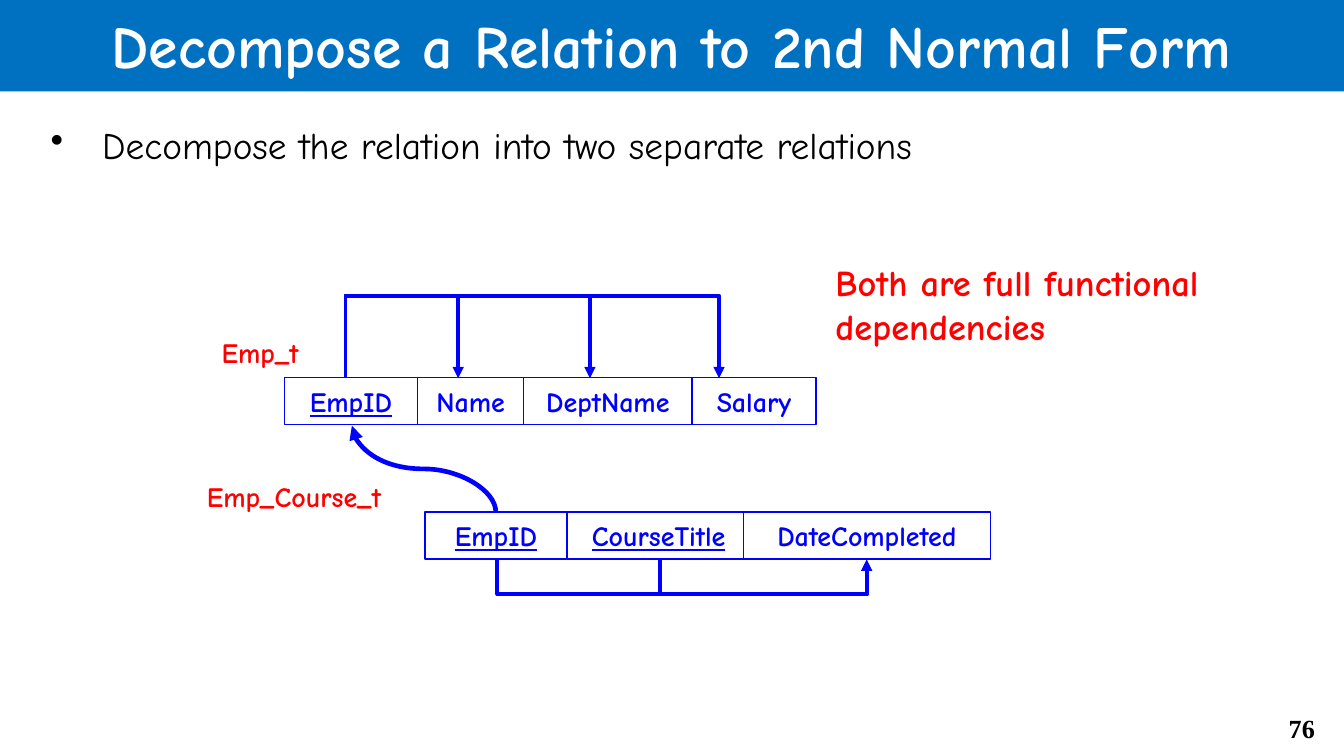
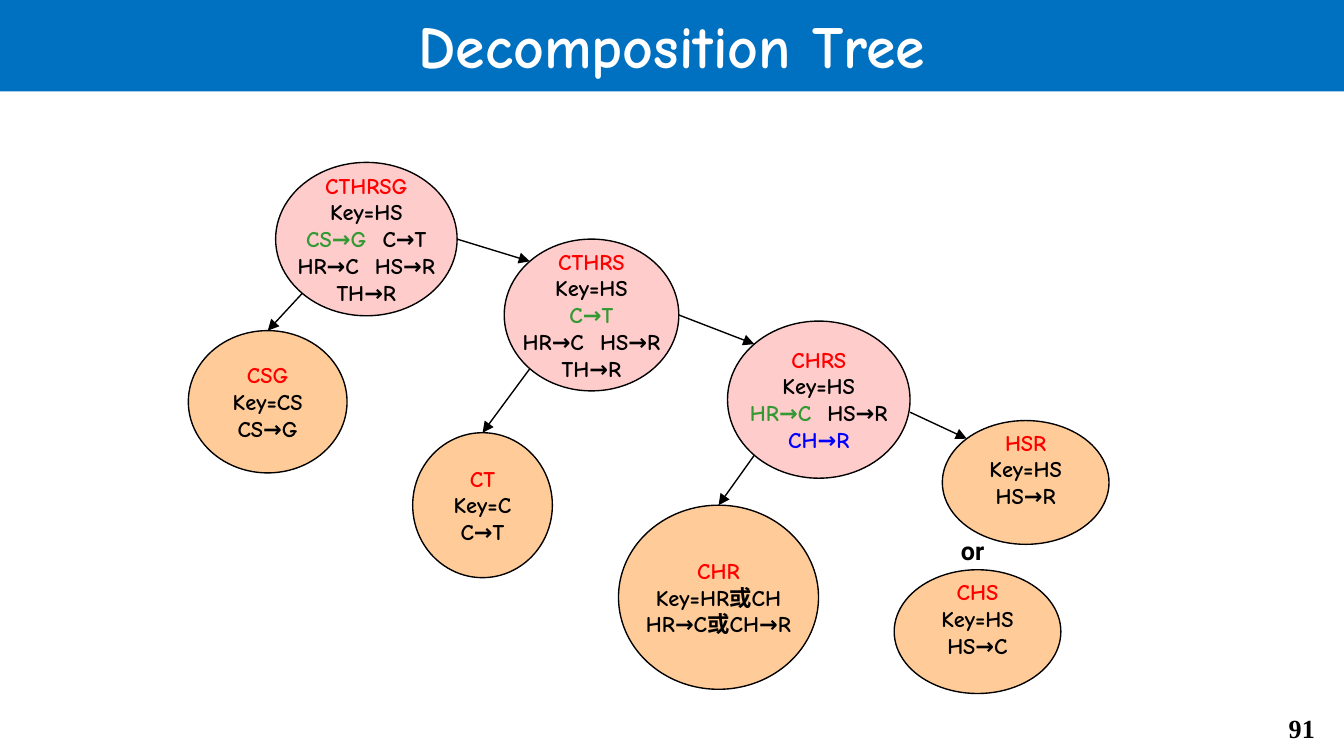
from math import sqrt

from lxml import etree
from pptx import Presentation
from pptx.dml.color import RGBColor
from pptx.enum.shapes import MSO_CONNECTOR, MSO_SHAPE
from pptx.enum.text import MSO_ANCHOR, PP_ALIGN
from pptx.oxml.ns import qn
from pptx.util import Cm, Pt

LEFT, CENTER, RIGHT = PP_ALIGN.LEFT, PP_ALIGN.CENTER, PP_ALIGN.RIGHT
TOP, MIDDLE = MSO_ANCHOR.TOP, MSO_ANCHOR.MIDDLE
RECT, OVAL = MSO_SHAPE.RECTANGLE, MSO_SHAPE.OVAL
STRAIGHT, ELBOW, CURVE = MSO_CONNECTOR.STRAIGHT, MSO_CONNECTOR.ELBOW, MSO_CONNECTOR.CURVE

COLORS = {
    "band": "0070C0", "white": "FFFFFF", "black": "000000", "red": "FF0000",
    "blue": "0000FF", "green": "339933", "pink": "FFCCCC", "orange": "FFCC99",
}
FONT = "Comic Neue"
SLIDE_W, SLIDE_H = 25.4, 14.29
CORNER = (1 - sqrt(0.5)) / 2


def rgb(name):
    return RGBColor.from_string(COLORS[name])


def style(p, size, color, align=LEFT, font=FONT, bold=True, underline=None):
    p.alignment = align
    f = p.font
    f.name, f.size, f.bold, f.underline = font, Pt(size), bold, underline
    if color:
        f.color.rgb = rgb(color)


def add_text(s, box, text, size, color, wrap=True, **options):
    sp = s.shapes.add_textbox(*map(Cm, box))
    tf = sp.text_frame
    tf.word_wrap = wrap
    p = tf.paragraphs[0]
    p.text = text
    style(p, size, color, **options)
    return p


def add_box(s, kind, box, fill, line=None, anchor=MIDDLE, wrap=True):
    sp = s.shapes.add_shape(kind, *map(Cm, box))
    sp.shadow.inherit = False
    sp.fill.solid()
    sp.fill.fore_color.rgb = rgb(fill)
    if line:
        sp.line.color.rgb = rgb(line)
        sp.line.width = Pt(0.75)
    else:
        sp.line.fill.background()
    sp.text_frame.vertical_anchor = anchor
    sp.text_frame.word_wrap = wrap
    return sp


def add_arrow(s, kind, start, end, color, width):
    sp = s.shapes.add_connector(kind, *map(int, start + end))
    sp.line.color.rgb = rgb(color)
    sp.line.width = Pt(width)
    etree.SubElement(sp.line._get_or_add_ln(), qn("a:tailEnd"), type="triangle")
    etree.SubElement(sp._element.spPr, qn("a:effectLst"))
    return sp


def add_turned_arrow(s, kind, start, end, bend, turn, width):
    (x1, y1), (x2, y2) = start, end
    cx, cy = (x1 + x2) / 2, (y1 + y2) / 2
    sign = 1 if turn == 90 else -1
    a, b = ((Cm(cx + sign * (y - cy)), Cm(cy - sign * (x - cx))) for x, y in (start, end))
    sp = add_arrow(s, kind, a, b, "blue", width)
    spPr = sp._element.spPr
    spPr.find(qn("a:xfrm")).set("rot", str(turn * 60000))
    guides = spPr.find(qn("a:prstGeom")).find(qn("a:avLst"))
    ratio = round((bend - y1) / (y2 - y1) * 100000)
    etree.SubElement(guides, qn("a:gd"), name="adj1", fmla=f"val {ratio}")


def add_frame(prs, title, number):
    s = prs.slides.add_slide(prs.slide_layouts[6])
    add_text(s, (23.5, 13.34, 1.6, 0.86), number, 14, "black",
             align=RIGHT, font="Times New Roman")
    band = add_box(s, RECT, (0, -0.05, SLIDE_W, 1.78), "band")
    p = band.text_frame.paragraphs[0]
    p.text = title
    style(p, 32, "white", CENTER)
    return s


def add_bullet(s, box, text):
    p = add_text(s, box, "", 20, "black", bold=False)
    p.text = text
    pPr = p._p.get_or_add_pPr()
    pPr.set("marL", str(Cm(0.97)))
    pPr.set("indent", str(-Cm(0.97)))
    bullet = etree.Element(qn("a:buChar"), char="•")
    pPr.insert(0, bullet)


def add_relation(s, left, top, cells):
    for label, x, width, is_key in cells:
        sp = add_box(s, RECT, (left + x, top, width, 0.89), "white", "blue", TOP)
        p = sp.text_frame.paragraphs[0]
        p.text = label
        style(p, 15, "blue", CENTER, underline=is_key or None)


def add_dependencies(s, left, top, starts, ends, rise, turn):
    for x1 in starts:
        for x2 in ends:
            add_turned_arrow(s, ELBOW, (left + x1, top), (left + x2, top + 0.01),
                             top + rise, turn, 2)


def add_normal_form(s, left, top):
    add_relation(s, left, top, [
        ("EmpID", 0, 2.51, True), ("Name", 2.51, 2.01, False),
        ("DeptName", 4.52, 3.18, False), ("Salary", 7.7, 2.34, False)])
    add_relation(s, left + 2.65, top + 2.54, [
        ("CourseTitle", 2.54, 3.76, True), ("DateCompleted", 6.02, 4.67, False),
        ("EmpID", 0, 2.69, True)])
    add_turned_arrow(s, CURVE, (left + 3.99, top + 2.54), (left + 1.27, top + 0.91),
                     top + 1.725, 270, 2.5)
    add_dependencies(s, left, top, [1.15], [3.28, 5.77, 8.21], -1.55, 90)
    add_dependencies(s, left, top + 3.43, [4.02, 7.09], [11], 0.66, 270)
    add_text(s, (left - 1.44, top - 0.92, 2.16, 0.89), "Emp_t", 15, "red", wrap=False)
    add_text(s, (left - 1.72, top + 1.8, 4.29, 0.89), "Emp_Course_t", 15, "red", wrap=False)


def add_node(s, box, fill, lines, lift):
    sp = add_box(s, OVAL, box, fill, "black", wrap=False)
    tf = sp.text_frame
    tf.margin_bottom = Cm(0.13 + lift)
    for i, line in enumerate(lines):
        p = tf.paragraphs[0] if i == 0 else tf.add_paragraph()
        if isinstance(line, str):
            p.text = line
            style(p, 12, "black" if i else "red", CENTER)
            continue
        style(p, 12, None, CENTER)
        for text, color in line:
            r = p.add_run()
            r.text = text
            r.font.color.rgb = rgb(color)
            if text == " ":
                r._r.get_or_add_rPr().set("spc", "430")
    return sp


def add_tree(s, left, top):
    gap = (" ", "black")
    hr_hs = [("HR→C", "black"), gap, ("HS→R", "black")]
    nodes = [
        ((1.65, 0, 3.43, 2.9), "pink",
         ["CTHRSG", "Key=HS", [("CS→G", "green"), gap, ("C→T", "black")], hr_hs, "TH→R"], 0),
        ((0, 3.18, 3, 2.69), "orange", ["CSG", "Key=CS", "CS→G"], 0),
        ((5.97, 1.45, 3.3, 2.87), "pink",
         ["CTHRS", "Key=HS", [("C→T", "green")], hr_hs, "TH→R"], 0),
        ((4.24, 5.11, 2.64, 2.74), "orange", ["CT", "Key=C", "C→T"], 0),
        ((10.19, 3, 3.45, 2.97), "pink",
         ["CHRS", "Key=HS", [("HR→C", "green"), gap, ("HS→R", "black")],
          [("CH→R", "blue")]], 0),
        ((8.13, 6.48, 3.78, 3.48), "orange", ["CHR", "Key=HR或CH", "HR→C或CH→R"], 0),
        ((13.34, 7.7, 3.15, 2.34), "orange", ["CHS", "Key=HS", "HS→C"], 0.5),
        ((14.25, 4.88, 3.15, 2.34), "orange", ["HSR", "Key=HS", "HS→R"], 0.5),
    ]
    ovals = {}
    for (x, y, w, h), fill, lines, lift in nodes:
        ovals[lines[0]] = add_node(s, (left + x, top + y, w, h), fill, lines, lift)

    def point(name, fx, fy):
        sp = ovals[name]
        return sp.left + sp.width * fx, sp.top + sp.height * fy

    splits = [("CTHRSG", "CSG", "CTHRS", 0.5), ("CTHRS", "CT", "CHRS", 0.5),
              ("CHRS", "CHR", "HSR", 0.58)]
    for parent, lower, right, exit_y in splits:
        add_arrow(s, STRAIGHT, point(parent, CORNER, 1 - CORNER), point(lower, 0.5, 0),
                  "black", 0.75)
        add_arrow(s, STRAIGHT, point(parent, 1, exit_y), point(right, CORNER, CORNER),
                  "black", 0.75)
    add_text(s, (left + 14.35, top + 6.93, 0.99, 0.84), "or", 13.5, "black",
             wrap=False, font="Roboto")


def main():
    prs = Presentation()
    prs.slide_width, prs.slide_height = Cm(SLIDE_W), Cm(SLIDE_H)

    s = add_frame(prs, "Decompose a Relation to 2nd Normal Form", "76")
    add_bullet(s, (0.71, 2.18, 23.8, 10.57),
               "Decompose the relation into two separate relations")
    add_text(s, (15.54, 4.8, 8.56, 1.93), "Both are full functional dependencies", 19.5, "red")
    add_normal_form(s, 5.38, 7.14)

    s = add_frame(prs, "Decomposition Tree", "91")
    add_tree(s, 3.56, 3.07)
    prs.save("out.pptx")


if __name__ == "__main__":
    main()
